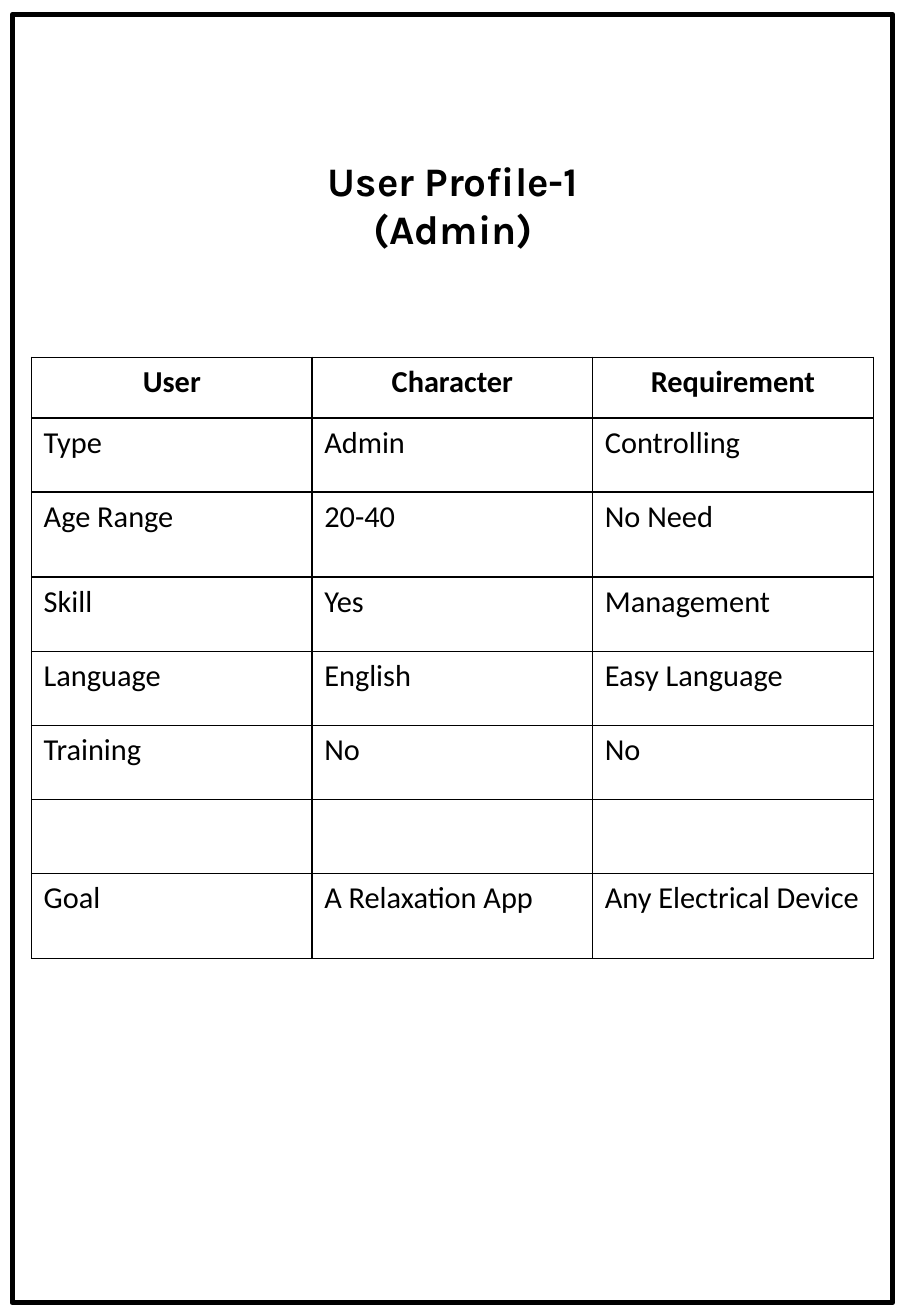
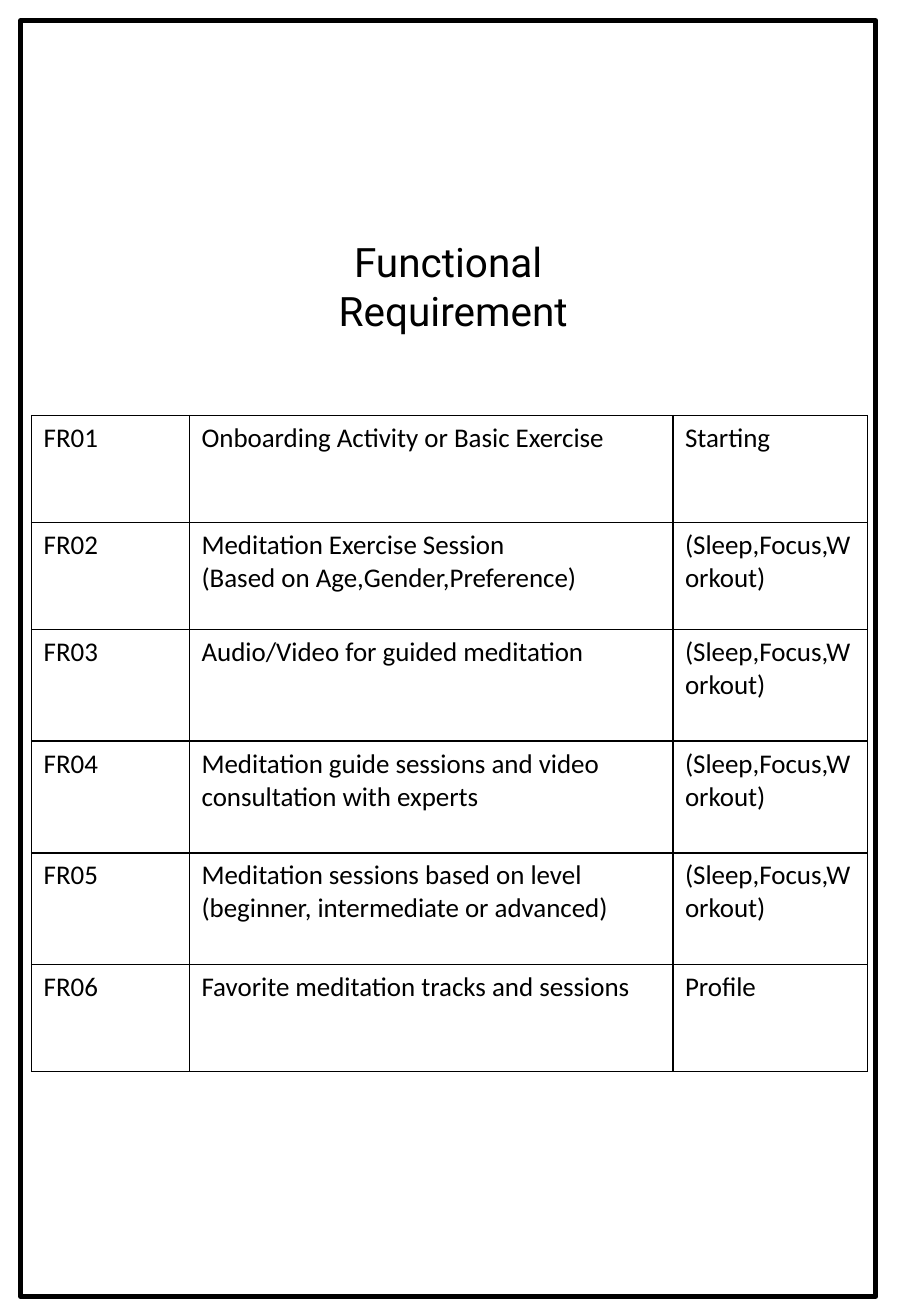
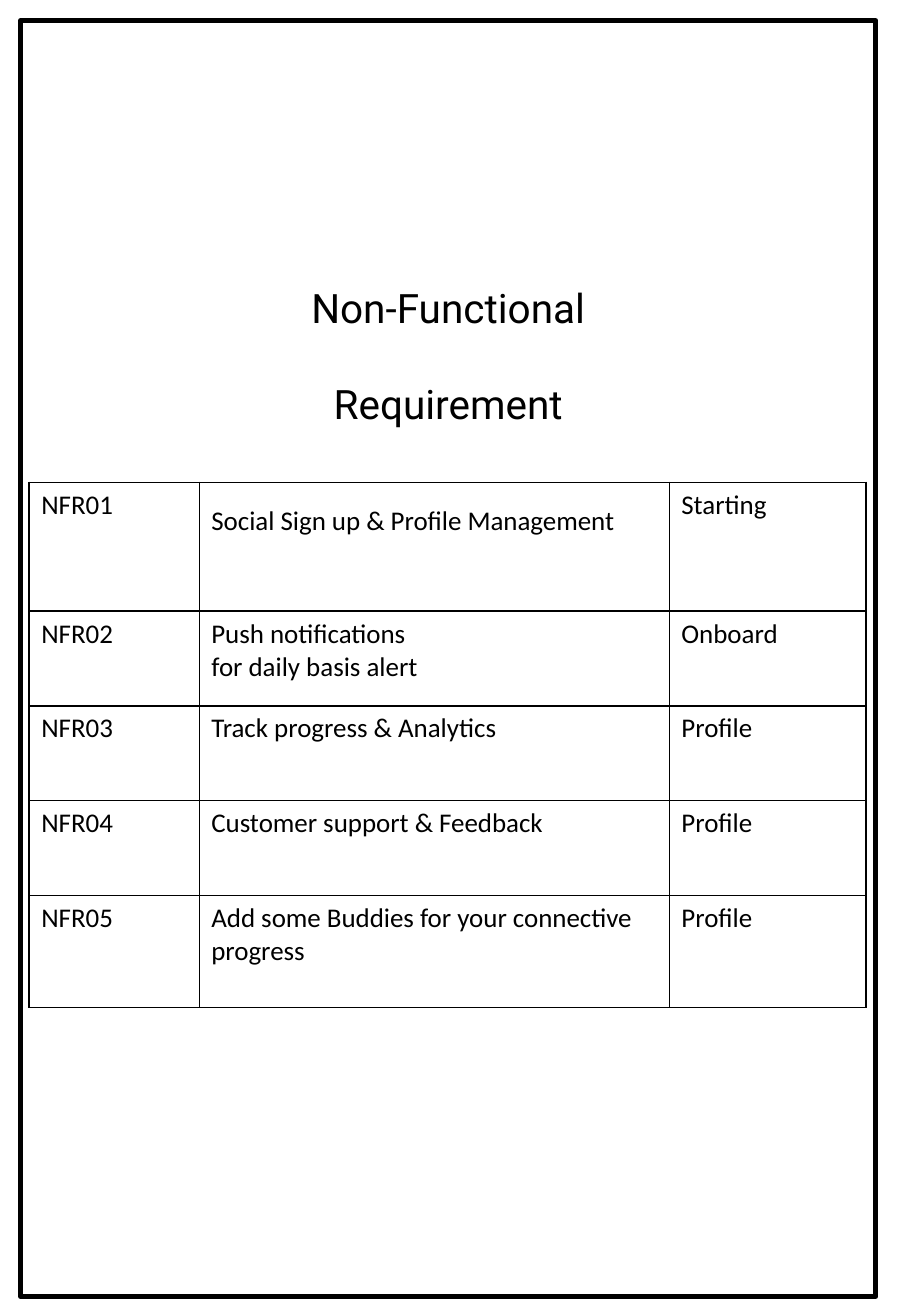
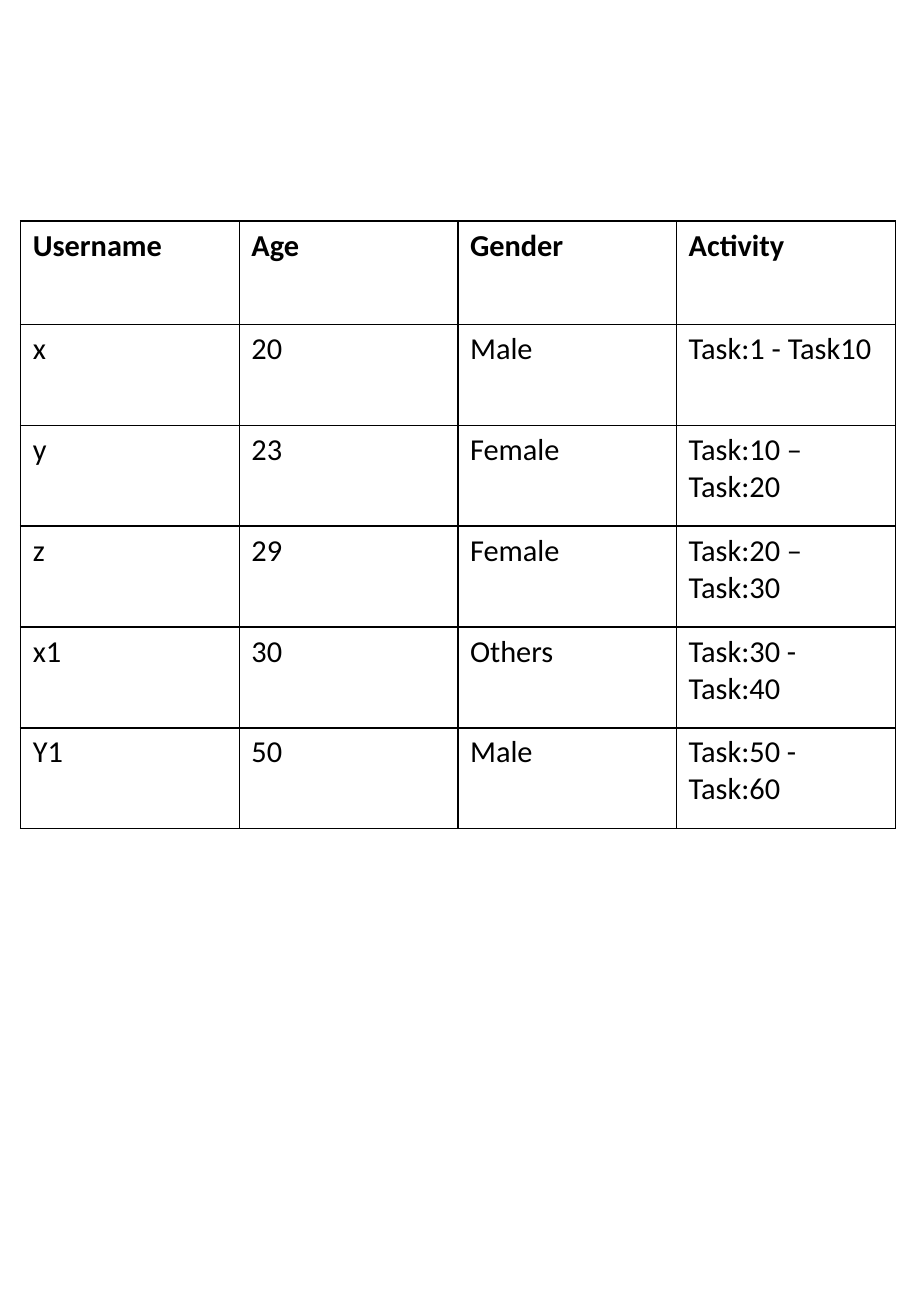
from lxml.etree import SubElement
from pptx import Presentation
from pptx.dml.color import RGBColor
from pptx.enum.shapes import MSO_SHAPE
from pptx.enum.text import MSO_ANCHOR, MSO_AUTO_SIZE as AUTO, PP_ALIGN
from pptx.oxml.ns import qn
from pptx.util import Inches, Pt

COLORS = {"ink": "000000", "paper": "FFFFFF"}
BODY_FONT = "Calibri"
FRAME_WIDTH = Pt(3)
BORDER_WIDTH = Pt(1)
TITLE_SIZE = 24
TITLE_ONLY, BLANK = 5, 6
FRAME = (0.17, 0.17, 7.04, 10.5)
TRACKS = "(Sleep,Focus,Workout)"

PROFILE = [
    ["User", "Character", "Requirement"],
    ["Type", "Admin", "Controlling"],
    ["Age Range", "20-40", "No Need"],
    ["Skill", "Yes", "Management"],
    ["Language", "English", "Easy Language"],
    ["Training", "No", "No"],
    ["", "", ""],
    ["Goal", "A Relaxation App", "Any Electrical Device"],
]
FUNCTIONAL = [
    ["FR01", "Onboarding Activity or Basic Exercise", "Starting"],
    ["FR02", "Meditation Exercise Session\n(Based on Age,Gender,Preference)", TRACKS],
    ["FR03", "Audio/Video for guided meditation", TRACKS],
    ["FR04", "Meditation guide sessions and video consultation with experts", TRACKS],
    ["FR05", "Meditation sessions based on level\n(beginner, intermediate or advanced)", TRACKS],
    ["FR06", "Favorite meditation tracks and sessions", "Profile"],
]
NON_FUNCTIONAL = [
    ["NFR01", "Social Sign up & Profile Management", "Starting"],
    ["NFR02", "Push notifications\nfor daily basis alert", "Onboard"],
    ["NFR03", "Track progress & Analytics", "Profile"],
    ["NFR04", "Customer support & Feedback", "Profile"],
    ["NFR05", "Add some Buddies for your connective progress", "Profile"],
]
ACTIVITY = [
    ["Username", "Age", "Gender", "Activity"],
    ["x", "20", "Male", "Task:1 - Task10"],
    ["y", "23", "Female", "Task:10 – Task:20"],
    ["z", "29", "Female", "Task:20 – Task:30"],
    ["x1", "30", "Others", "Task:30 - Task:40"],
    ["Y1", "50", "Male", "Task:50 - Task:60"],
]


def rgb(name):
    return RGBColor.from_string(COLORS[name])


def set_attrs(obj, values):
    for name, value in values.items():
        setattr(obj, name, value)


def write_text(tf, text, font, size, bold=False, **para):
    tf.text = text
    for p in tf.paragraphs:
        set_attrs(p, para)
        for r in p.runs:
            set_attrs(r.font, {"name": font, "size": Pt(size), "bold": bold})
            r.font.color.rgb = rgb("ink")


def add_slide(prs, layout):
    s = prs.slides.add_slide(prs.slide_layouts[layout])
    s.background.fill.solid()
    s.background.fill.fore_color.rgb = rgb("paper")
    return s


def add_frame(s, box):
    sp = s.shapes.add_shape(MSO_SHAPE.RECTANGLE, *map(Inches, box))
    sp.shadow.inherit = False
    sp.fill.background()
    sp.line.color.rgb = rgb("ink")
    sp.line.width = FRAME_WIDTH


def place_title(s, text, box, font, wrap=True, **style):
    sp = s.shapes.title
    set_attrs(sp, dict(zip(("left", "top", "width", "height"), map(Inches, box))))
    tf = sp.text_frame
    set_attrs(tf, {"word_wrap": wrap, "auto_size": AUTO.SHAPE_TO_FIT_TEXT,
                   "vertical_anchor": MSO_ANCHOR.TOP})
    write_text(tf, text, font, TITLE_SIZE, alignment=PP_ALIGN.CENTER, **style)


def add_borders(cell):
    tcPr = cell._tc.get_or_add_tcPr()
    for side in ("lnL", "lnR", "lnT", "lnB"):
        ln = SubElement(tcPr, qn("a:" + side), w=str(BORDER_WIDTH))
        fill = SubElement(ln, qn("a:solidFill"))
        SubElement(fill, qn("a:srgbClr"), val=COLORS["ink"])


def add_grid(s, left, top, cols, heights, rows, size, header=False,
             header_align=PP_ALIGN.LEFT):
    box = map(Inches, (left, top, sum(cols), sum(heights)))
    table = s.shapes.add_table(len(rows), len(cols), *box).table
    set_attrs(table, {"first_row": False, "horz_banding": False})
    for col, width in zip(table.columns, cols):
        col.width = Inches(width)
    for i, (row, height, texts) in enumerate(zip(table.rows, heights, rows)):
        row.height = Inches(height)
        is_header = header and i == 0
        align = header_align if is_header else PP_ALIGN.LEFT
        for cell, text in zip(row.cells, texts):
            add_borders(cell)
            cell.fill.background()
            write_text(cell.text_frame, text, BODY_FONT, size, is_header, alignment=align)
    return table


def build_profile(prs):
    s = add_slide(prs, TITLE_ONLY)
    add_frame(s, (0.1, 0.12, 7.25, 10.6))
    place_title(s, "User Profile-1\n(Admin)", (0.97, 1.23, 5.52, 0.91), "Karla", bold=True)
    heights = [0.5, 0.61, 0.7] + [0.61] * 4 + [0.7]
    add_grid(s, 0.26, 2.94, [2.31] * 3, heights, PROFILE, 18, True, PP_ALIGN.CENTER)


def build_functional(prs):
    s = add_slide(prs, TITLE_ONLY)
    add_frame(s, FRAME)
    heights = [0.88] * 2 + [0.92] * 3 + [0.88]
    add_grid(s, 0.26, 3.42, [1.3, 3.98, 1.6], heights, FUNCTIONAL, 16)
    place_title(s, "Functional\n Requirement", (1.9, 1.9, 3.58, 0.91), "Roboto")


def build_non_functional(prs):
    s = add_slide(prs, TITLE_ONLY)
    add_frame(s, FRAME)
    heights = [1.06] + [0.78] * 3 + [0.92]
    table = add_grid(s, 0.24, 3.97, [1.4, 3.87, 1.62], heights, NON_FUNCTIONAL, 16)
    table.cell(0, 1).text_frame.paragraphs[0].line_spacing = 1.5
    place_title(s, "Non-Functional\nRequirement", (2.45, 2.28, 2.48, 0.91), "Roboto",
                wrap=False, space_after=Pt(28))


def build_activity(prs):
    s = add_slide(prs, BLANK)
    heights = [0.85] + [0.83] * 5
    add_grid(s, 0.17, 1.82, [1.8] * 4, heights, ACTIVITY, 18, True)


def main():
    prs = Presentation()
    set_attrs(prs, {"slide_width": Inches(7.5), "slide_height": Inches(10.83)})
    for build in (build_profile, build_functional, build_non_functional, build_activity):
        build(prs)
    prs.save("out.pptx")


main()
